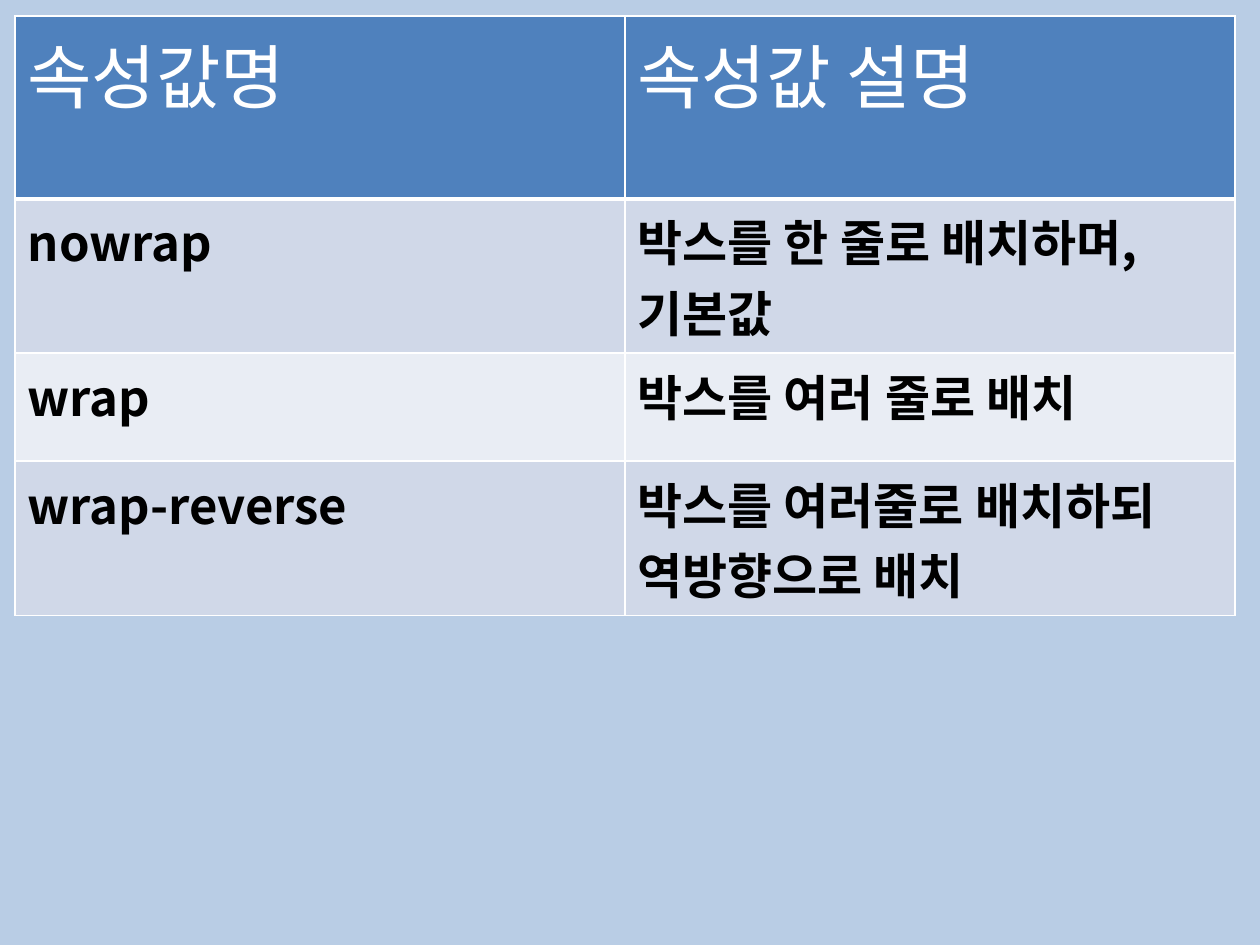
import pptx
import pptx.util
import pptx.dml.color
import pptx.oxml.ns
import lxml.etree

Pt = pptx.util.Pt
qn = pptx.oxml.ns.qn
COLORS = {
    "background": "B9CDE5", "header": "4F81BD", "odd": "D0D8E8",
    "even": "E9EDF4", "white": "FFFFFF", "black": "000000",
}
ROWS = [
    ("속성값명", "속성값 설명"),
    ("nowrap", "박스를 한 줄로 배치하며, 기본값"),
    ("wrap", "박스를 여러 줄로 배치"),
    ("wrap-reverse", "박스를 여러줄로 배치하되 역방향으로 배치"),
]


def color(name):
    """Return the named colour of the palette."""
    return pptx.dml.color.RGBColor.from_string(COLORS[name])


class Page:
    """Holds the text style and the current slide."""

    font = "Noto Sans CJK KR"

    def __init__(self, deck):
        """Add a blank slide with a plain background."""
        self.slide = deck.slides.add_slide(deck.slide_layouts[6])
        fill = self.slide.background.fill
        fill.solid()
        fill.fore_color.rgb = color("background")

    def borders(self, cell, bottom):
        """Draw white lines around a cell."""
        properties = cell._tc.get_or_add_tcPr()
        widths = {"L": 1, "R": 1, "T": 1, "B": bottom}
        for index, (side, width) in enumerate(widths.items()):
            line = lxml.etree.Element(qn("a:ln" + side), w=str(Pt(width)))
            fill = lxml.etree.SubElement(line, qn("a:solidFill"))
            lxml.etree.SubElement(fill, qn("a:srgbClr"), val=COLORS["white"])
            properties.insert(index, line)

    def cell(self, cell, text, fill, size, ink, bold, bottom):
        """Fill, write and outline one table cell."""
        cell.fill.solid()
        cell.fill.fore_color.rgb = color(fill)
        cell.text_frame.text = text
        span = cell.text_frame.paragraphs[0].runs[0]
        span.font.name = self.font
        span.font.size = Pt(size)
        span.font.bold = bold
        span.font.color.rgb = color(ink)
        latin = span.font._element.find(qn("a:latin"))
        east_asian = lxml.etree.Element(qn("a:ea"), typeface=self.font)
        latin.addnext(east_asian)
        self.borders(cell, bottom)

    def table(self, rows, left, top, column_width, heights):
        """Add a table with a header row and banded body rows."""
        columns = len(rows[0])
        table = self.slide.shapes.add_table(
            len(rows), columns, Pt(left), Pt(top),
            Pt(column_width * columns), Pt(sum(heights))).table
        for column in table.columns:
            column.width = Pt(column_width)
        for index, (texts, height) in enumerate(zip(rows, heights)):
            table.rows[index].height = Pt(height)
            if index == 0:
                style = ("header", 40, "white", False, 3)
            else:
                style = ("odd" if index % 2 else "even", 28, "black", True, 1)
            for cell, text in zip(table.rows[index].cells, texts):
                self.cell(cell, text, *style)


def main():
    """Build and save the deck."""
    deck = pptx.Presentation()
    deck.slide_width, deck.slide_height = Pt(720), Pt(540)
    page = Page(deck)
    page.table(ROWS, 8.64, 9.2, 348.6, [104.4] + [61.8] * 3)
    deck.save("out.pptx")


main()
